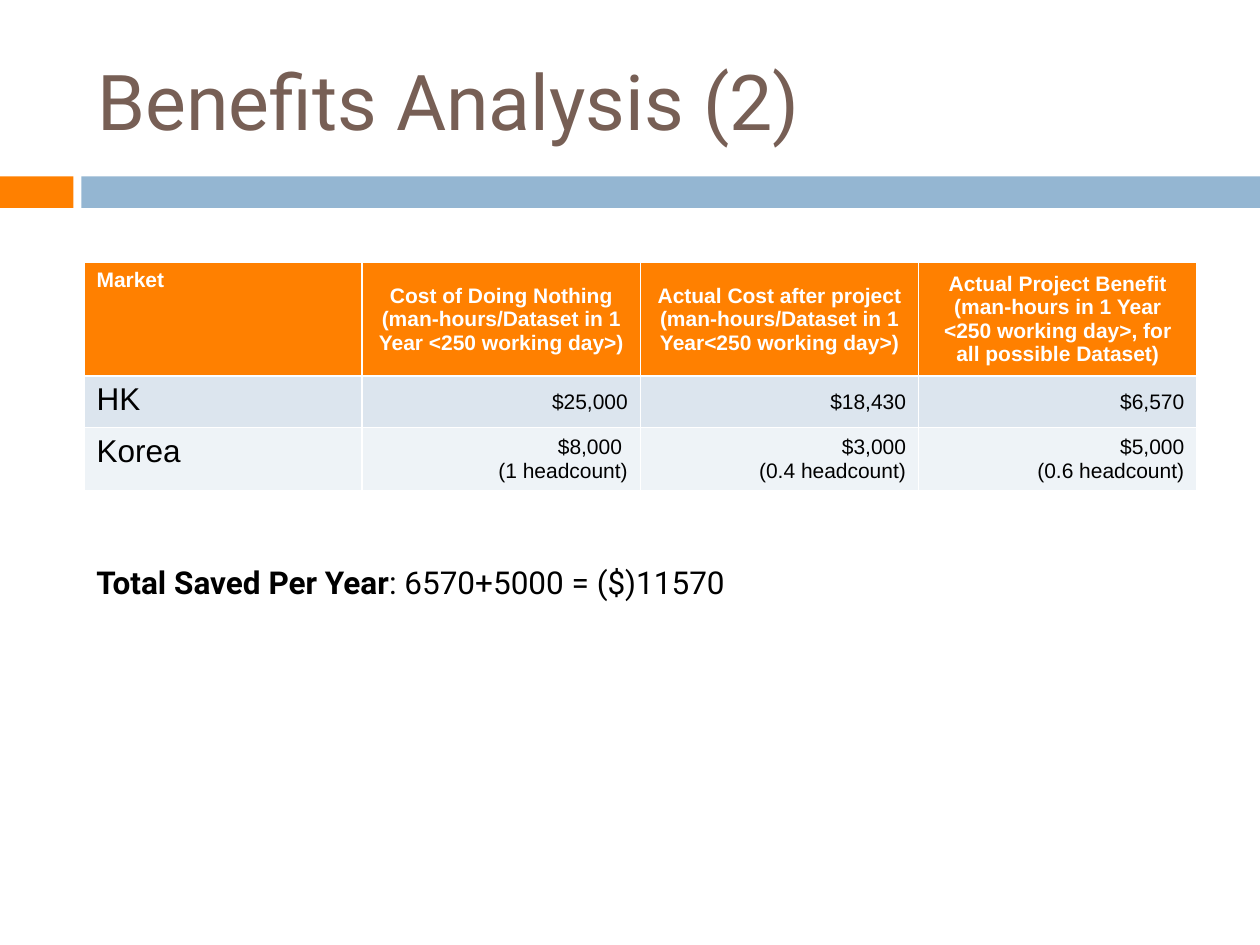
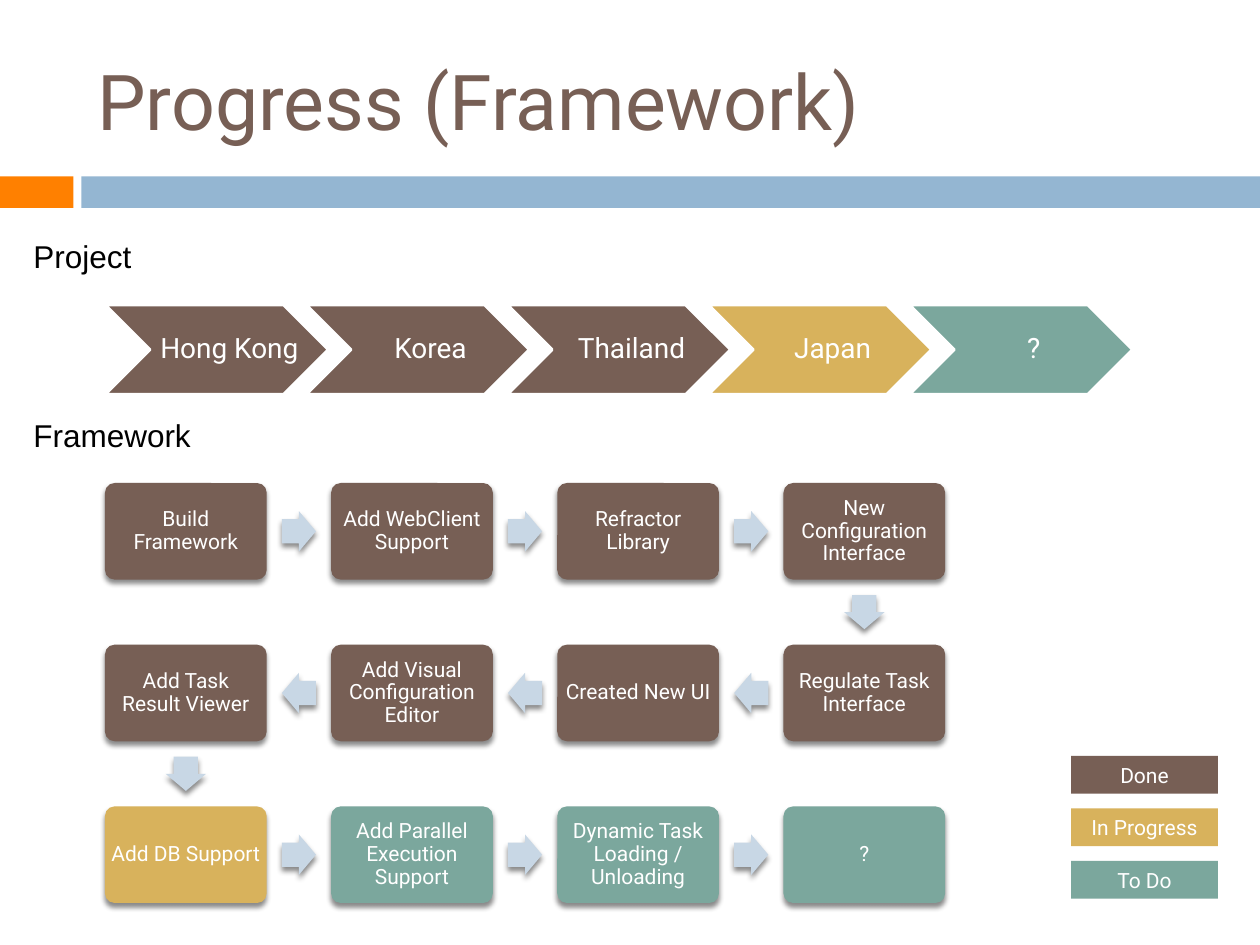
import lxml.etree
import pptx
import pptx.dml.color
import pptx.enum.shapes
import pptx.enum.text
import pptx.oxml
import pptx.oxml.ns
import pptx.util

RGBColor = pptx.dml.color.RGBColor
MSO = pptx.enum.shapes.MSO_SHAPE
ALIGN = pptx.enum.text.PP_ALIGN
ANCHOR = pptx.enum.text.MSO_ANCHOR

BROWN = RGBColor(0x77, 0x5F, 0x55)
ORANGE = RGBColor(0xFF, 0x80, 0x00)
BLUE = RGBColor(0x94, 0xB6, 0xD2)
PALE_BLUE = RGBColor(0xC8, 0xD7, 0xE5)
GOLD = RGBColor(0xD8, 0xB2, 0x5C)
GREEN = RGBColor(0x7B, 0xA7, 0x9D)
ROW_DARK = RGBColor(0xDC, 0xE5, 0xEE)
ROW_LIGHT = RGBColor(0xEE, 0xF3, 0xF7)
WHITE = RGBColor(0xFF, 0xFF, 0xFF)
BLACK = RGBColor(0x00, 0x00, 0x00)

prs = pptx.Presentation()
prs.slide_width = pptx.util.Inches(10)
prs.slide_height = pptx.util.Inches(7.5)
UNIT = prs.slide_width / 120

TITLE = {"name": "Roboto", "size": pptx.util.Pt(44)}
LARGE = {"name": "Roboto", "size": pptx.util.Pt(18)}
MEDIUM = {"name": "Roboto", "size": pptx.util.Pt(16)}
SMALL = {"name": "Roboto", "size": pptx.util.Pt(12)}
LABEL = {"name": "Arial", "size": pptx.util.Pt(18), "bold": False}
HEAD = {"name": "Arial", "size": pptx.util.Pt(12), "bold": True}
VALUE = {"name": "Arial", "size": pptx.util.Pt(12), "bold": False}

SHADOW = (
    '<a:outerShdw xmlns:a="http://schemas.openxmlformats.org/drawingml/2006/main"'
    ' blurRad="38100" dist="30000" dir="5400000" rotWithShape="0">'
    '<a:srgbClr val="000000"><a:alpha val="45000"/></a:srgbClr></a:outerShdw>'
)


def add_block(s, kind, box, fill, shadow=False):
    sp = s.shapes.add_shape(kind, *[round(n * UNIT) for n in box])
    sp.fill.solid()
    sp.fill.fore_color.rgb = fill
    sp.line.fill.background()
    sp.shadow.inherit = False
    if shadow:
        effects = sp._element.spPr.find(pptx.oxml.ns.qn("a:effectLst"))
        effects.append(lxml.etree.fromstring(SHADOW))
    return sp


def write(tf, text, fmt, color, align=ALIGN.LEFT, anchor=ANCHOR.MIDDLE, spacing=1.0):
    tf.text = text
    tf.word_wrap = True
    tf.vertical_anchor = anchor
    for p in tf.paragraphs:
        p.alignment = align
        p.line_spacing = spacing
        for r in p.runs:
            r.font.color.rgb = color
            for key, value in fmt.items():
                setattr(r.font, key, value)


slides = []
for title in ["Benefits Analysis (2)", "Progress (Framework)"]:
    s = prs.slides.add_slide(prs.slide_layouts[6])
    add_block(s, MSO.RECTANGLE, (0, 16.8, 7, 3), ORANGE)
    add_block(s, MSO.RECTANGLE, (7.75, 16.8, 112.25, 3), BLUE)
    tb = s.shapes.add_textbox(*[round(n * UNIT) for n in (8.1, 3, 107, 13)])
    write(tb.text_frame, title, TITLE, BROWN)
    slides.append(s)
benefits, progress = slides

rows = [
    [
        "Market",
        "Cost of Doing Nothing\n(man-hours/Dataset in 1 Year <250 working day>)",
        "Actual Cost after project\n(man-hours/Dataset in 1 Year<250 working day>)",
        "Actual Project Benefit\n(man-hours in 1 Year <250 working day>, for all possible Dataset)",
    ],
    ["HK", "$25,000", "$18,430", "$6,570"],
    [
        "Korea",
        "$8,000 \n(1 headcount)",
        "$3,000\n(0.4 headcount)",
        "$5,000\n(0.6 headcount)",
    ],
]
row_formats = [
    (ORANGE, WHITE, HEAD, HEAD, ALIGN.CENTER),
    (ROW_DARK, BLACK, LABEL, VALUE, ALIGN.RIGHT),
    (ROW_LIGHT, BLACK, LABEL, VALUE, ALIGN.RIGHT),
]
frame = benefits.shapes.add_table(
    3, 4, *[round(n * UNIT) for n in (8, 25, 106, 14.7)]
)
frame.height = round(21.7 * UNIT)
for i, (fill, color, first, other, align) in enumerate(row_formats):
    for j, text in enumerate(rows[i]):
        cell = frame.table.cell(i, j)
        cell.fill.solid()
        cell.fill.fore_color.rgb = fill
        if j == 0:
            write(cell.text_frame, text, first, color)
            cell.vertical_anchor = ANCHOR.TOP
        else:
            write(cell.text_frame, text, other, color, align)
            cell.vertical_anchor = ANCHOR.MIDDLE

sp = add_block(benefits, MSO.RECTANGLE, (8, 53, 106, 4.8), WHITE)
write(sp.text_frame, "Total Saved Per Year", {**LARGE, "bold": True}, BLACK)
r = sp.text_frame.paragraphs[0].add_run()
r.text = ": 6570+5000 = ($)11570"
r.font.color.rgb = BLACK
for key, value in {**LARGE, "bold": False}.items():
    setattr(r.font, key, value)

steps = [
    ("Build Framework", BROWN),
    ("Add WebClient Support", BROWN),
    ("Refractor Library", BROWN),
    ("New Configuration Interface", BROWN),
    ("Regulate Task Interface", BROWN),
    ("Created New UI", BROWN),
    ("Add Visual Configuration Editor", BROWN),
    ("Add Task\nResult Viewer", BROWN),
    ("Add DB Support", GOLD),
    ("Add Parallel Execution Support", GREEN),
    ("Dynamic Task Loading / Unloading", GREEN),
    ("?", GREEN),
]
STEP_W, STEP_H = 15.4, 9.2
ARROW_W, ARROW_H = 3.25, 3.85
centres = []
for i in range(len(steps)):
    row, col = divmod(i, 4)
    if row % 2:
        col = 3 - col
    centres.append((17.7 + 21.54 * col, 50.6 + 15.4 * row))

for (text, fill), (x, y) in zip(steps, centres):
    box = (x - STEP_W / 2, y - STEP_H / 2, STEP_W, STEP_H)
    sp = add_block(progress, MSO.ROUNDED_RECTANGLE, box, fill, shadow=True)
    sp.adjustments[0] = 0.1
    tf = sp.text_frame
    for side in ["left", "right", "top", "bottom"]:
        setattr(tf, "margin_" + side, pptx.util.Inches(0.02))
    write(tf, text, SMALL, WHITE, ALIGN.CENTER, spacing=0.9)

for (x1, y1), (x2, y2) in zip(centres, centres[1:]):
    box = ((x1 + x2 - ARROW_W) / 2, (y1 + y2 - ARROW_H) / 2, ARROW_W, ARROW_H)
    sp = add_block(progress, MSO.RIGHT_ARROW, box, PALE_BLUE, shadow=True)
    sp.adjustments[0] = 0.6
    sp.adjustments[1] = 0.5
    sp.rotation = 90 if y2 > y1 else 180 if x2 < x1 else 0

legend = [("Done", BROWN), ("In Progress", GOLD), ("To Do", GREEN)]
for i, (text, fill) in enumerate(legend):
    sp = add_block(progress, MSO.RECTANGLE, (102, 72 + 5 * i, 14, 3.6), fill)
    write(sp.text_frame, text, SMALL, WHITE, ALIGN.CENTER)

markets = [
    ("Hong Kong", BROWN),
    ("Korea", BROWN),
    ("Thailand", BROWN),
    ("Japan", GOLD),
    ("?", GREEN),
]
for i, (text, fill) in enumerate(markets):
    sp = add_block(progress, MSO.CHEVRON, (10.05 + 19.15 * i, 29.05, 21.2, 8.5), fill)
    sp.line.color.rgb = WHITE
    sp.line.width = pptx.util.Pt(1.5)
    tf = sp.text_frame
    tf.margin_left = pptx.util.Inches(0.23)
    tf.margin_right = pptx.util.Inches(0.03)
    write(tf, text, MEDIUM, WHITE, ALIGN.CENTER, spacing=0.9)
    tf.word_wrap = False

for text, top in [("Project", 22), ("Framework", 39)]:
    tb = progress.shapes.add_textbox(*[round(n * UNIT) for n in (2, top, 29, 5)])
    write(tb.text_frame, text, LABEL, BLACK, anchor=ANCHOR.TOP)

prs.save("out.pptx")
